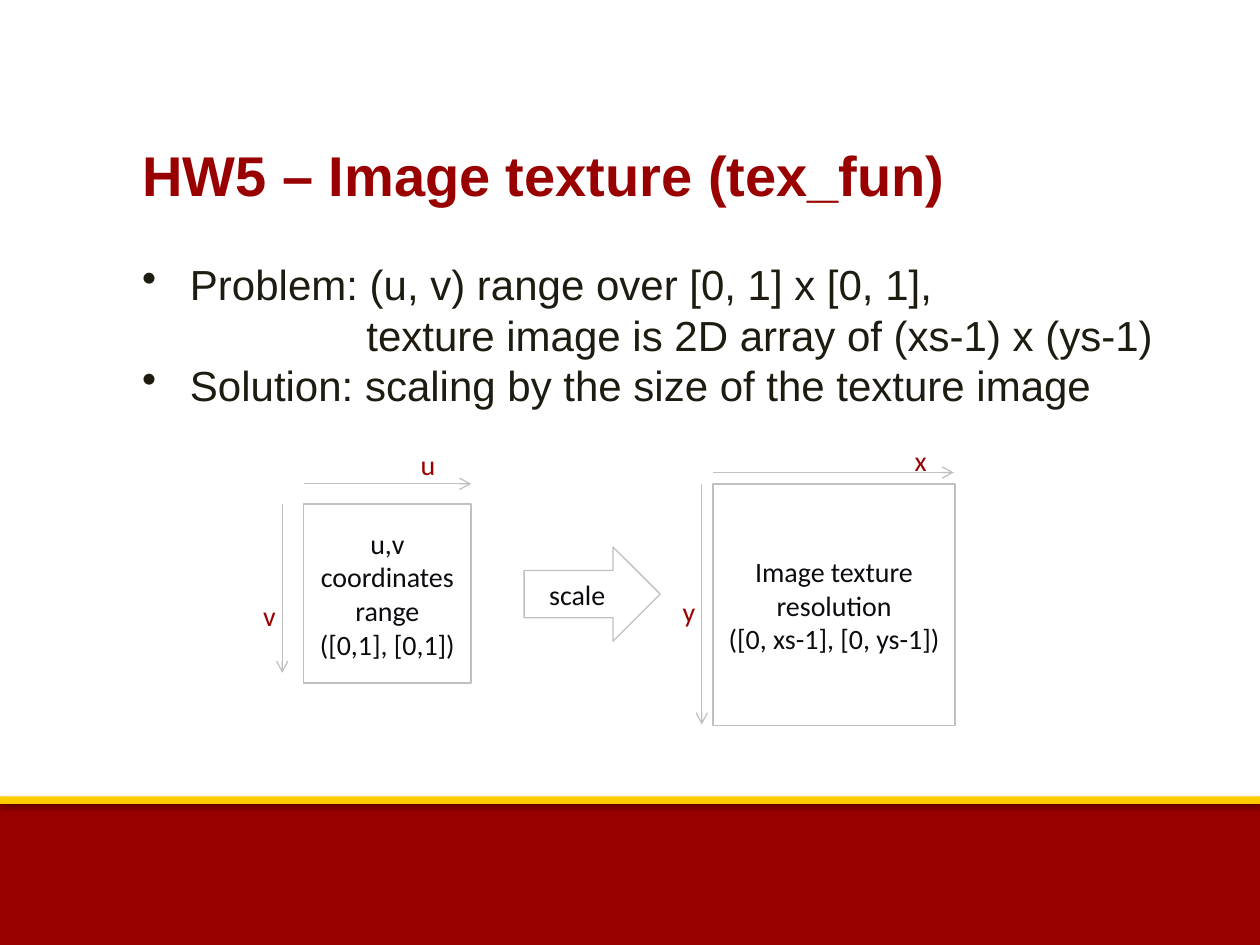
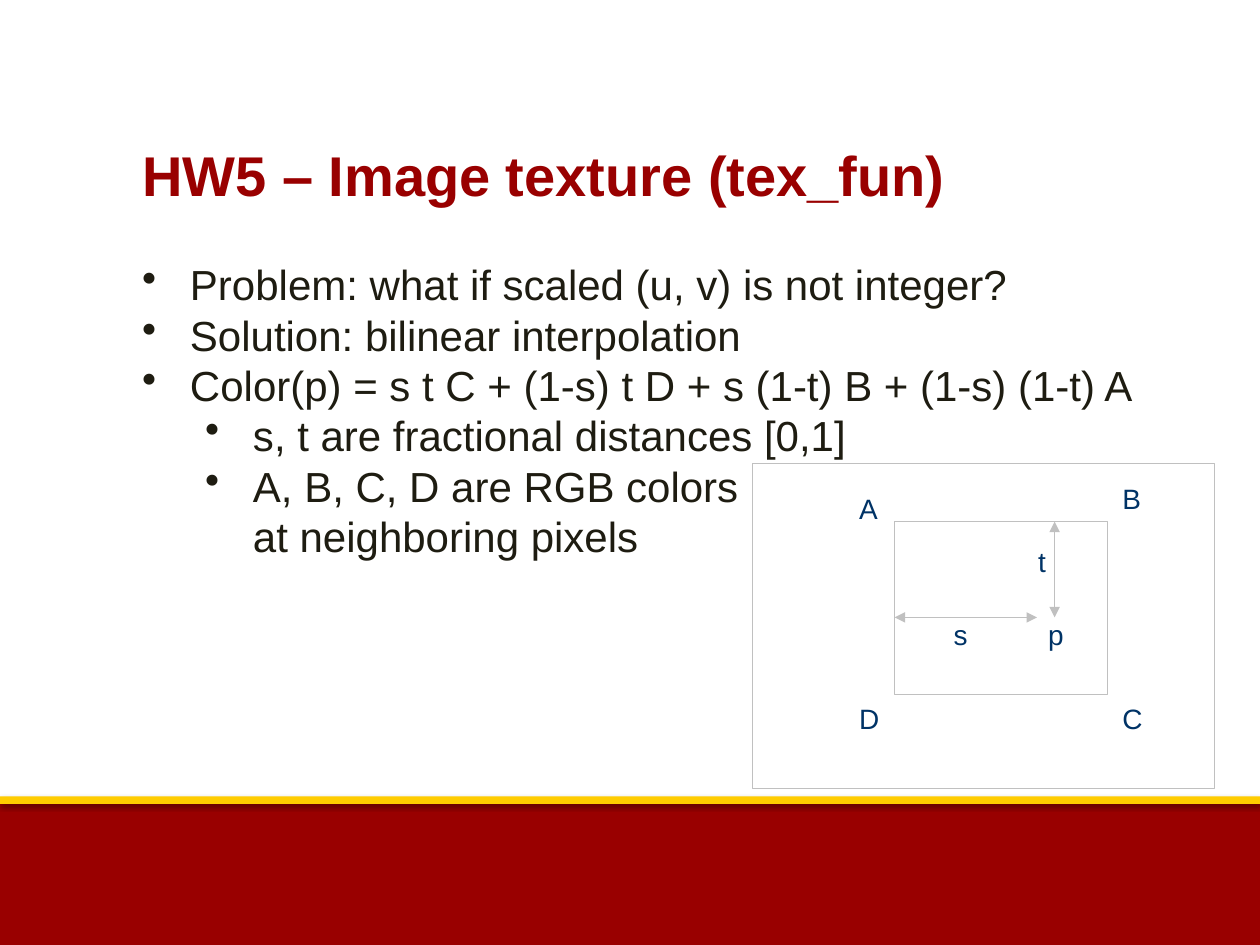
from typing import NamedTuple

from lxml import etree
from pptx import Presentation, oxml
from pptx import util as u
from pptx.dml.color import RGBColor
from pptx.enum import shapes, text
from pptx.oxml.ns import qn

RED, GOLD, WHITE, GRAY = "990000", "FFCC00", "FFFFFF", "C0C0C0"
BODY, BOX_TEXT, NAVY = "1E1C11", "0D0A10", "003366"
TITLE = "HW5 – Image texture (tex_fun)"
TITLE_SIZE, BODY_SIZE, LABEL_SIZE = 32, 24, 16
LINE_HEIGHT = 1.2  # line pitch as a multiple of the font size
HANGING = 0.38


class Band(NamedTuple):
    top: float
    height: float
    color: str
    shadow_alpha: int
    shadow_distance: float


class Bullet(NamedTuple):
    wording: str
    margin: float = HANGING
    marked: bool = True


class Box(NamedTuple):
    left: float
    top: float
    width: float
    height: float
    wording: str = ""
    fill: str | None = WHITE
    kind: shapes.MSO_SHAPE = shapes.MSO_SHAPE.RECTANGLE
    margin: float = 0
    indent: float = 0
    align: text.PP_ALIGN = text.PP_ALIGN.CENTER


class Arrow(NamedTuple):
    x1: float
    y1: float
    x2: float
    y2: float


class Label(NamedTuple):
    wording: str
    left: float
    top: float


class LabelStyle(NamedTuple):
    font: str
    color: str
    width: float
    indent: float


BANDS = [
    Band(6.35, 1.15, RED, 35, 1.8),
    Band(6.32, 0.06, GOLD, 38, 1.6),
]
AXIS_LABEL = LabelStyle("Calibri", RED, 0.42, 0)
PIXEL_LABEL = LabelStyle("Arial", NAVY, 0.83, 0.5)


def rgb(color: str) -> RGBColor:
    return RGBColor.from_string(color)


def set_font(paragraph, name: str, size: float, color: str, bold: bool = False) -> None:
    font = paragraph.font
    font.name, font.size, font.bold = name, u.Pt(size), bold
    font.color.rgb = rgb(color)


def set_indent(paragraph, margin: float, first_line: float = 0) -> None:
    properties = paragraph._p.get_or_add_pPr()
    properties.set("marL", str(u.Inches(margin)))
    properties.set("indent", str(u.Inches(first_line)))


def add_bullet_mark(paragraph) -> None:
    mark = oxml.parse_xml(
        '<a:buChar xmlns:a="http://schemas.openxmlformats.org/drawingml/2006/main" char="•"/>'
    )
    properties = paragraph._p.get_or_add_pPr()
    defaults = properties.find(qn("a:defRPr"))
    defaults.addprevious(mark)


def add_band(slide, band: Band) -> None:
    shape = slide.shapes.add_shape(
        shapes.MSO_SHAPE.RECTANGLE,
        0, u.Inches(band.top), u.Inches(10), u.Inches(band.height),
    )
    shape.fill.solid()
    shape.fill.fore_color.rgb = rgb(band.color)
    shape.line.fill.background()
    shape.shadow.inherit = False
    effects = shape._element.spPr.find(qn("a:effectLst"))
    shadow = etree.SubElement(
        effects, qn("a:outerShdw"), blurRad=str(u.Pt(3.1)),
        dist=str(u.Pt(band.shadow_distance)), dir="5400000", rotWithShape="0",
    )
    color = etree.SubElement(shadow, qn("a:srgbClr"), val="000000")
    etree.SubElement(color, qn("a:alpha"), val=str(band.shadow_alpha * 1000))


def add_content(slide, height: float, bullets: list[Bullet]) -> None:
    """Title and bullets share one text box."""
    shape = slide.shapes.add_textbox(
        u.Inches(1.03), u.Inches(1.07), u.Inches(8.37), u.Inches(height)
    )
    frame = shape.text_frame
    frame.word_wrap = True
    title = frame.paragraphs[0]
    title.text = TITLE
    title.line_spacing = u.Pt(TITLE_SIZE * LINE_HEIGHT)
    title.space_after = u.Pt(BODY_SIZE * LINE_HEIGHT)
    set_font(title, "Arial", TITLE_SIZE, RED, bold=True)
    for bullet in bullets:
        paragraph = frame.add_paragraph()
        paragraph.text = bullet.wording
        paragraph.line_spacing = u.Pt(BODY_SIZE * LINE_HEIGHT)
        set_font(paragraph, "Arial", BODY_SIZE, BODY)
        set_indent(paragraph, bullet.margin, -HANGING if bullet.marked else 0)
        if bullet.marked:
            add_bullet_mark(paragraph)


def add_box(slide, box: Box) -> None:
    shape = slide.shapes.add_shape(
        box.kind, u.Inches(box.left), u.Inches(box.top),
        u.Inches(box.width), u.Inches(box.height),
    )
    shape.shadow.inherit = False
    if box.fill:
        shape.fill.solid()
        shape.fill.fore_color.rgb = rgb(box.fill)
    else:
        shape.fill.background()
    shape.line.color.rgb = rgb(GRAY)
    shape.line.width = u.Pt(0.75)
    if not box.wording:
        return
    frame = shape.text_frame
    frame.word_wrap = True
    frame.vertical_anchor = text.MSO_ANCHOR.MIDDLE
    frame.margin_left = frame.margin_right = u.Inches(box.margin)
    frame.margin_top = frame.margin_bottom = 0
    paragraph = frame.paragraphs[0]
    paragraph.text = box.wording
    paragraph.alignment = box.align
    set_font(paragraph, "Calibri", LABEL_SIZE, BOX_TEXT)
    set_indent(paragraph, box.indent)


def add_arrow(slide, arrow: Arrow, tip: str, both_ends: bool = False) -> None:
    connector = slide.shapes.add_connector(
        shapes.MSO_CONNECTOR.STRAIGHT, *(u.Inches(value) for value in arrow)
    )
    connector.line.color.rgb = rgb(GRAY)
    connector.line.width = u.Pt(0.75)
    line = connector.line._get_or_add_ln()
    if both_ends:
        etree.SubElement(line, qn("a:headEnd"), type=tip)
    etree.SubElement(line, qn("a:tailEnd"), type=tip)
    etree.SubElement(connector._element.spPr, qn("a:effectLst"))


def add_label(slide, label: Label, style: LabelStyle) -> None:
    shape = slide.shapes.add_textbox(
        u.Inches(label.left), u.Inches(label.top), u.Inches(style.width), u.Inches(0.37)
    )
    frame = shape.text_frame
    frame.word_wrap = True
    paragraph = frame.paragraphs[0]
    paragraph.text = label.wording
    set_font(paragraph, style.font, LABEL_SIZE, style.color)
    set_indent(paragraph, style.indent)


def add_slide(presentation, height: float, bullets: list[Bullet]):
    slide = presentation.slides.add_slide(presentation.slide_layouts[6])
    for band in BANDS:
        add_band(slide, band)
    add_content(slide, height, bullets)
    return slide


def build_scaling_slide(presentation) -> None:
    slide = add_slide(presentation, 2.26, [
        Bullet("Problem: (u, v) range over [0, 1] x [0, 1],"),
        Bullet("texture image is 2D array of (xs-1) x (ys-1)", 1.78, marked=False),
        Bullet("Solution: scaling by the size of the texture image"),
    ])
    # Coordinate range, scale arrow and texture resolution
    for box in [
        Box(2.41, 4, 1.33, 1.42, "u,v\vcoordinates\vrange\v([0,1], [0,1])"),
        Box(5.66, 3.84, 1.92, 1.92, "Image texture\vresolution\v([0, xs-1], [0, ys-1])"),
        Box(4.16, 4.34, 1.08, 0.75, "scale", kind=shapes.MSO_SHAPE.RIGHT_ARROW,
            margin=0.1, indent=0.1, align=text.PP_ALIGN.LEFT),
    ]:
        add_box(slide, box)
    # Axes
    for axis in [
        Arrow(2.24, 4, 2.24, 5.34),
        Arrow(2.41, 3.84, 3.74, 3.84),
        Arrow(5.66, 3.75, 7.57, 3.75),
        Arrow(5.57, 3.84, 5.57, 5.75),
    ]:
        add_arrow(slide, axis, "arrow")
    for label in [
        Label("u", 3.24, 3.5), Label("v", 1.99, 4.7),
        Label("y", 5.32, 4.67), Label("x", 7.16, 3.47),
    ]:
        add_label(slide, label, AXIS_LABEL)


def build_interpolation_slide(presentation) -> None:
    sub_margin = HANGING + 0.5
    slide = add_slide(presentation, 3.47, [
        Bullet("Problem: what if scaled (u, v) is not integer?"),
        Bullet("Solution: bilinear interpolation"),
        Bullet("Color(p) = s t C + (1-s) t D + s (1-t) B + (1-s) (1-t) A"),
        Bullet("s, t are fractional distances [0,1]", sub_margin),
        Bullet("A, B, C, D are RGB colors\vat neighboring pixels", sub_margin),
    ])
    # Diagram frame and pixel square
    add_box(slide, Box(5.97, 3.68, 3.67, 2.58))
    add_box(slide, Box(7.1, 4.14, 1.69, 1.37, fill=None))
    # Fractional distances t and s
    for distance in [Arrow(8.37, 4.14, 8.37, 4.9), Arrow(7.1, 4.9, 8.23, 4.9)]:
        add_arrow(slide, distance, "triangle", both_ends=True)
    for label in [
        Label("A", 6.22, 3.85), Label("D", 6.22, 5.52),
        Label("B", 8.31, 3.77), Label("C", 8.31, 5.52),
        Label("t", 7.64, 4.27), Label("s", 6.97, 4.85), Label("p", 7.72, 4.85),
    ]:
        add_label(slide, label, PIXEL_LABEL)


def main() -> None:
    presentation = Presentation()
    presentation.slide_width = u.Inches(10)
    presentation.slide_height = u.Inches(7.5)
    build_scaling_slide(presentation)
    build_interpolation_slide(presentation)
    presentation.save("out.pptx")


if __name__ == "__main__":
    main()
